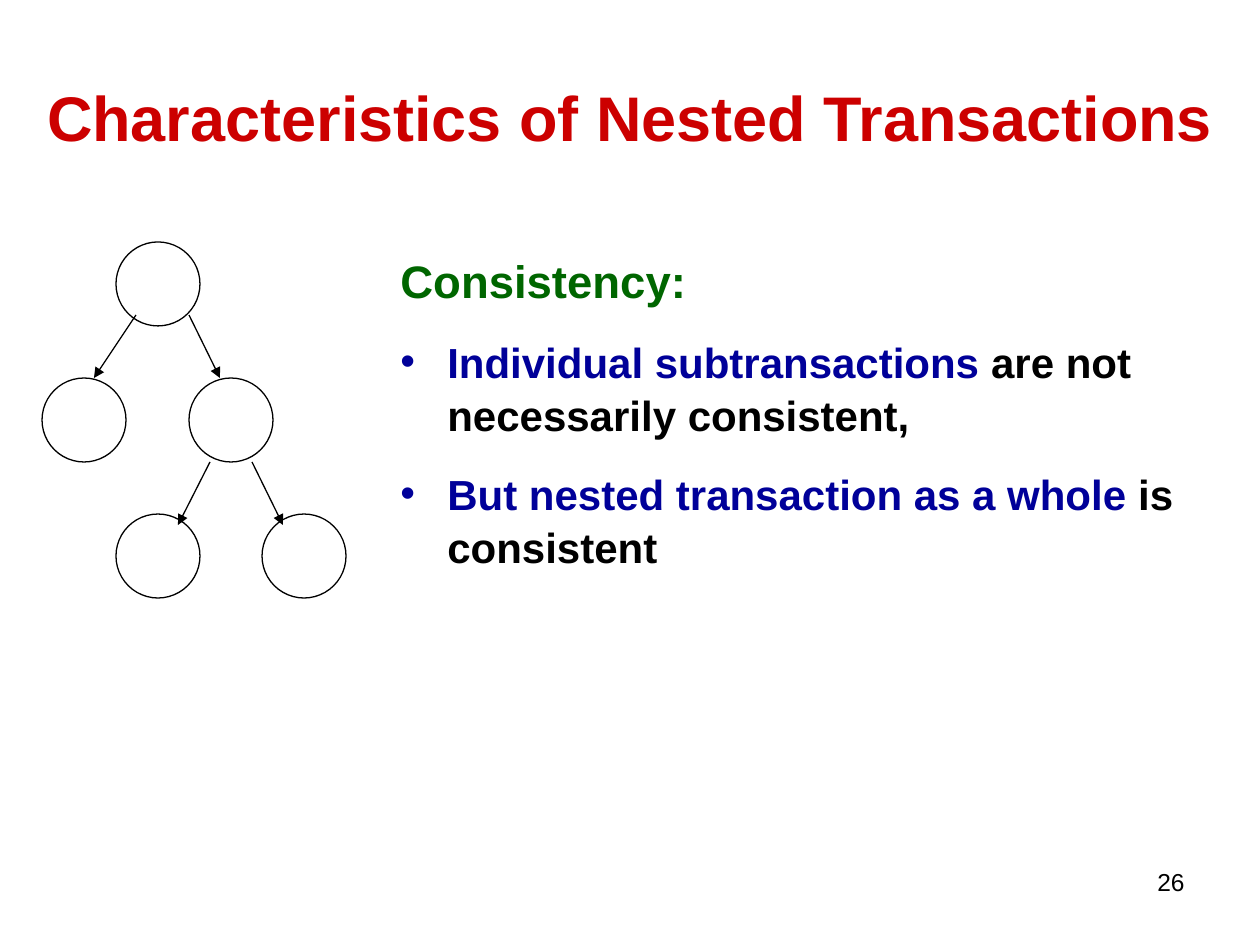
"""Build the slide on consistency as a characteristic of nested transactions."""
import pptx
import pptx.dml.color
import pptx.enum.shapes
import pptx.enum.text
import pptx.oxml
import pptx.oxml.ns
import pptx.util

RED = pptx.dml.color.RGBColor(0xCC, 0x00, 0x00)
GREEN = pptx.dml.color.RGBColor(0x00, 0x66, 0x00)
BLUE = pptx.dml.color.RGBColor(0x00, 0x00, 0x99)
BLACK = pptx.dml.color.RGBColor(0x00, 0x00, 0x00)
WHITE = pptx.dml.color.RGBColor(0xFF, 0xFF, 0xFF)

TITLE = "Characteristics of Nested Transactions"
HEADING = "Consistency:"
BULLETS = [
    [("Individual subtransactions ", BLUE), ("are not necessarily consistent,", BLACK)],
    [("But nested transaction as a whole ", BLUE), ("is consistent", BLACK)],
]
PAGE_NUMBER = "26"

NODE_SIZE = 84
NODES = [(116, 242), (42, 378), (189, 378), (116, 514), (262, 514)]
EDGES = [
    ((136, 315), (94, 378)),
    ((189, 315), (220, 378)),
    ((210, 462), (178, 525)),
    ((252, 462), (283, 525)),
]
TITLE_BOX = (32, 38, 1196, 157)
BODY_BOX = (388, 244, 809, 524)
NUMBER_BOX = (903, 861, 294, 66)
INDENT = 47
LINE_SPACING = 1.05


def px(*lengths):
    return [pptx.util.Emu(round(length * 914400 / 126)) for length in lengths]


def place(shape, box):
    shape.left, shape.top, shape.width, shape.height = px(*box)


def add_run(paragraph, text, *, size, color, bold=True):
    run = paragraph.add_run()
    run.text = text
    run.font.name = "Arial"
    run.font.size = pptx.util.Pt(size)
    run.font.bold = bold
    run.font.color.rgb = color


def add_text_box(slide, box):
    frame = slide.shapes.add_textbox(*px(*box)).text_frame
    frame.word_wrap = True
    return frame


def add_bullet(paragraph, color):
    properties = paragraph._p.get_or_add_pPr()
    indent = px(INDENT)[0]
    properties.set("marL", str(indent))
    properties.set("indent", str(-indent))
    namespace = pptx.oxml.ns.nsdecls("a")
    for xml in (
        f'<a:buClr {namespace}><a:srgbClr val="{color}"/></a:buClr>',
        f'<a:buFont {namespace} typeface="Arial"/>',
        f'<a:buChar {namespace} char="•"/>',
    ):
        properties.append(pptx.oxml.parse_xml(xml))


def add_node(group, position):
    node = group.shapes.add_shape(
        pptx.enum.shapes.MSO_SHAPE.OVAL, *px(*position, NODE_SIZE, NODE_SIZE)
    )
    node.shadow.inherit = False
    node.fill.solid()
    node.fill.fore_color.rgb = WHITE
    node.line.color.rgb = BLACK
    node.line.width = pptx.util.Pt(0.75)


def add_arrow(group, start, end):
    arrow = group.shapes.add_connector(
        pptx.enum.shapes.MSO_CONNECTOR.STRAIGHT, *px(*start, *end)
    )
    arrow.line.color.rgb = BLACK
    arrow.line.width = pptx.util.Pt(0.75)
    namespace = pptx.oxml.ns.nsdecls("a")
    arrow.line._get_or_add_ln().append(
        pptx.oxml.parse_xml(f'<a:tailEnd {namespace} type="triangle"/>')
    )
    arrow._element.spPr.append(pptx.oxml.parse_xml(f"<a:effectLst {namespace}/>"))


def main():
    presentation = pptx.Presentation()
    presentation.slide_width, presentation.slide_height = px(1260, 945)
    slide = presentation.slides.add_slide(presentation.slide_layouts[5])

    title = slide.shapes.title
    place(title, TITLE_BOX)
    title.text_frame.vertical_anchor = pptx.enum.text.MSO_ANCHOR.MIDDLE
    paragraph = title.text_frame.paragraphs[0]
    paragraph.alignment = pptx.enum.text.PP_ALIGN.CENTER
    add_run(paragraph, TITLE, size=36, color=RED)

    body = add_text_box(slide, BODY_BOX)
    paragraph = body.paragraphs[0]
    paragraph.line_spacing = LINE_SPACING
    add_run(paragraph, HEADING, size=26, color=GREEN)
    for runs in BULLETS:
        paragraph = body.add_paragraph()
        paragraph.line_spacing = LINE_SPACING
        paragraph.space_before = pptx.util.Pt(15)
        add_bullet(paragraph, BLUE)
        for text, color in runs:
            add_run(paragraph, text, size=24, color=color)

    tree = slide.shapes.add_group_shape()
    for position in NODES:
        add_node(tree, position)
    for start, end in EDGES:
        add_arrow(tree, start, end)

    paragraph = add_text_box(slide, NUMBER_BOX).paragraphs[0]
    paragraph.alignment = pptx.enum.text.PP_ALIGN.RIGHT
    add_run(paragraph, PAGE_NUMBER, size=14, color=BLACK, bold=False)

    presentation.save("out.pptx")


if __name__ == "__main__":
    main()
